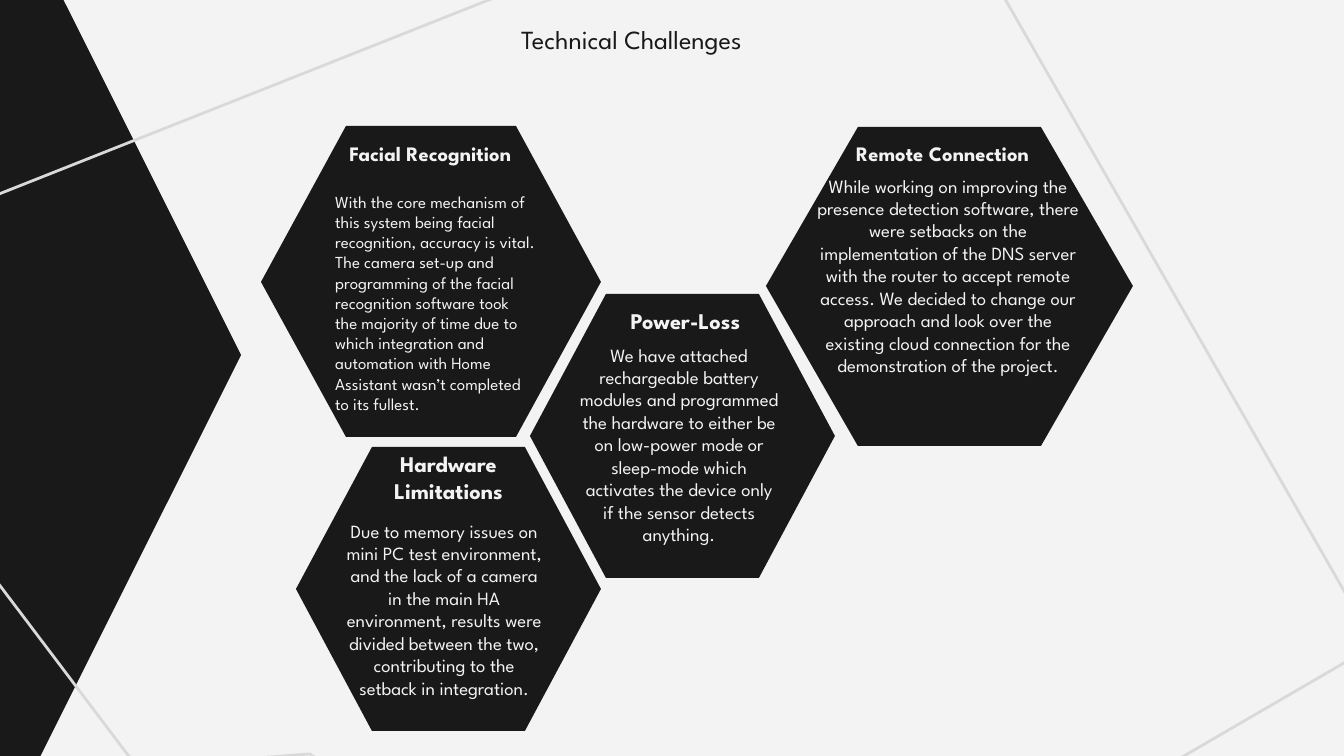
import pptx
import pptx.dml.color
import pptx.enum.shapes
import pptx.enum.text
import pptx.util

# Content: boxes are (left, top, width, height) in px
TITLE = "Technical Challenges"
TITLE_BOX = (159, 10, 945, 112)
CENTER = pptx.enum.text.PP_ALIGN.CENTER
LEFT = pptx.enum.text.PP_ALIGN.LEFT

CARDS = [
    {
        "hexagon": (261, 126, 340, 311),
        "heading": ("Facial Recognition", (313, 128, 235, 54), 11, CENTER),
        "body": (
            "With the core mechanism of this system being facial recognition, "
            "accuracy is vital. The camera set-up and programming of the facial "
            "recognition software took the majority of time due to which "
            "integration and automation with Home Assistant wasn’t completed "
            "to its fullest.",
            (322, 178, 226, 218), 9, LEFT),
    },
    {
        "hexagon": (530, 294, 305, 284),
        "heading": ("Power-Loss", (568, 294, 235, 54), 12, CENTER),
        "body": (
            "We have attached rechargeable battery modules and programmed the "
            "hardware to either be on low-power mode or sleep-mode which "
            "activates the device only if the sensor detects anything.",
            (566, 330, 226, 211), 10, CENTER),
    },
    {
        "hexagon": (766, 127, 367, 319),
        "heading": ("Remote Connection", (843, 128, 251, 34), 11, LEFT),
        "body": (
            "While working on improving the presence detection software, there "
            "were setbacks on the implementation of the DNS server with the "
            "router to accept remote access. We decided to change our approach "
            "and look over the existing cloud connection for the demonstration "
            "of the project.",
            (802, 161, 292, 242), 10, CENTER),
    },
    {
        "hexagon": (296, 447, 305, 284),
        "heading": ("Hardware Limitations", (331, 437, 235, 54), 12, CENTER),
        "body": (
            "Due to memory issues on mini PC test environment, and the lack of "
            "a camera in the main HA environment, results were divided between "
            "the two, contributing to the setback in integration.",
            (331, 506, 226, 211), 10, CENTER),
    },
]

SIDE_HEXAGON = (-641, -65, 882, 840)
OUTLINE = [(-228, 284), (137, 767), (310, 754), (702, 1036), (1375, 645), (910, -167)]

THEME = {
    "font": "League Spartan",
    "dark": pptx.dml.color.RGBColor.from_string("191919"),
    "light": pptx.dml.color.RGBColor.from_string("F3F3F3"),
    "gray": pptx.dml.color.RGBColor.from_string("D9D9D9"),
    "title_size": 14,
    "line_width": 1.5,
}
PX = 914400 / 134.4


def emu(px):
    return pptx.util.Emu(round(px * PX))


def place(shape, box):
    shape.left, shape.top, shape.width, shape.height = map(emu, box)


def fill_dark(shape):
    shape.fill.solid()
    shape.fill.fore_color.rgb = THEME["dark"]
    shape.line.fill.background()
    shape.shadow.inherit = False


def write(shape, text, size, align, color, bold=False):
    frame = shape.text_frame
    frame.word_wrap = True
    frame.auto_size = pptx.enum.text.MSO_AUTO_SIZE.NONE
    frame.vertical_anchor = pptx.enum.text.MSO_ANCHOR.TOP
    frame.margin_left = frame.margin_right = pptx.util.Inches(0.1)
    frame.margin_top = frame.margin_bottom = pptx.util.Inches(0.1)
    frame.text = text
    paragraph = frame.paragraphs[0]
    paragraph.alignment = align
    paragraph.space_before = pptx.util.Pt(0)
    paragraph.font.name = THEME["font"]
    paragraph.font.size = pptx.util.Pt(size)
    paragraph.font.bold = bold
    paragraph.font.color.rgb = color


def add_polygon(slide, points):
    builder = slide.shapes.build_freeform(*points[0], scale=PX)
    builder.add_line_segments(points[1:], close=True)
    shape = builder.convert_to_shape()
    shape.shadow.inherit = False
    return shape


def hexagon_points(left, top, width, height):
    """Slanted sides each take a quarter of the width."""
    right, bottom = left + width, top + height
    inset, middle = width / 4, top + height / 2
    return [(left + inset, top), (left, middle), (left + inset, bottom),
            (right - inset, bottom), (right, middle), (right - inset, top)]


def add_card(slide, card):
    fill_dark(add_polygon(slide, hexagon_points(*card["hexagon"])))
    for part in ("heading", "body"):
        text, box, size, align = card[part]
        textbox = slide.shapes.add_textbox(*map(emu, box))
        write(textbox, text, size, align, THEME["light"], bold=part == "heading")


def main():
    presentation = pptx.Presentation()
    presentation.slide_width, presentation.slide_height = emu(1344), emu(756)
    slide = presentation.slides.add_slide(presentation.slide_layouts[5])
    slide.background.fill.solid()
    slide.background.fill.fore_color.rgb = THEME["light"]

    # Backdrop: side hexagon and thin outline
    side = slide.shapes.add_shape(
        pptx.enum.shapes.MSO_SHAPE.HEXAGON, *map(emu, SIDE_HEXAGON))
    side.adjustments[0] = 0.25
    fill_dark(side)
    outline = add_polygon(slide, OUTLINE)
    outline.fill.background()
    outline.line.color.rgb = THEME["gray"]
    outline.line.width = pptx.util.Pt(THEME["line_width"])

    # Title
    title = slide.shapes.title
    place(title, TITLE_BOX)
    write(title, TITLE, THEME["title_size"], CENTER, THEME["dark"])

    # Challenge cards
    for card in CARDS:
        add_card(slide, card)

    presentation.save("out.pptx")


if __name__ == "__main__":
    main()
